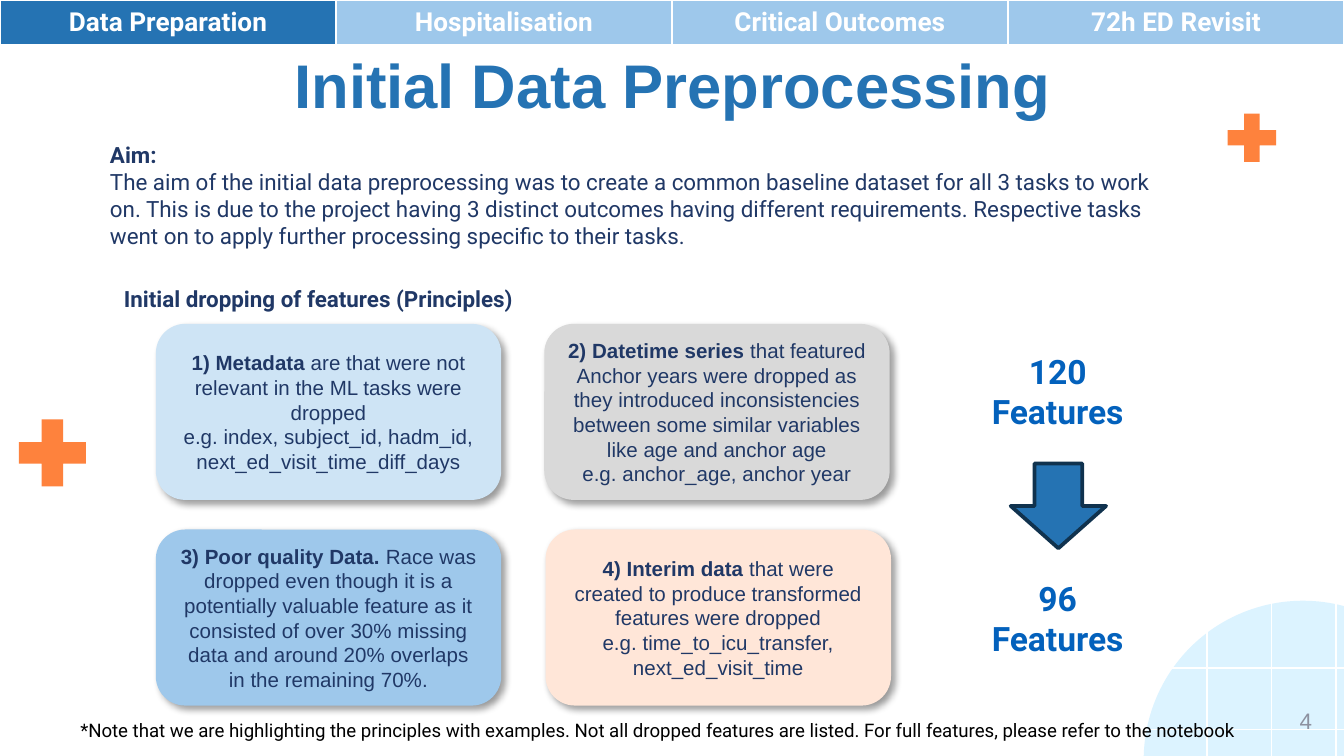
from dataclasses import dataclass
from typing import Any

from lxml import etree
from pptx import Presentation
from pptx.dml.color import RGBColor
from pptx.enum.shapes import MSO_CONNECTOR, MSO_SHAPE
from pptx.enum.text import MSO_ANCHOR, PP_ALIGN
from pptx.oxml import parse_xml
from pptx.oxml.ns import nsdecls, qn
from pptx.util import Pt

PX = 4572
TOP, MIDDLE = MSO_ANCHOR.TOP, MSO_ANCHOR.MIDDLE
LEFT, CENTER, RIGHT = PP_ALIGN.LEFT, PP_ALIGN.CENTER, PP_ALIGN.RIGHT
ELLIPSE, PLUS = MSO_SHAPE.OVAL, MSO_SHAPE.MATH_PLUS
CARD, DOWN_ARROW = MSO_SHAPE.ROUNDED_RECTANGLE, MSO_SHAPE.DOWN_ARROW
STRAIGHT = MSO_CONNECTOR.STRAIGHT

BLUE, LIGHT_BLUE, NAVY, WHITE = "2573B3", "9EC8EB", "203866", "FFFFFF"
ORANGE, PALE_BLUE, COUNT_BLUE = "FE823D", "DCF3FF", "0361BC"

TABS = ["Data Preparation", "Hospitalisation", "Critical Outcomes", "72h ED Revisit"]
AIM = [
    [("Aim:", True)],
    [("The aim of the initial data preprocessing was to create a common baseline dataset "
      "for all 3 tasks to work on. This is due to the project having 3 distinct outcomes "
      "having different requirements. Respective tasks went on to apply further processing "
      "specific to their tasks.", False)],
]
PRINCIPLES = [
    (232, 482, "CEE4F5", [
        [("1) Metadata", True),
         (" are that were not relevant in the ML tasks were dropped", False)],
        [("e.g. index, subject_id, hadm_id, next_ed_visit_time_diff_days", False)]]),
    (810, 482, "D9D9D9", [
        [("2) Datetime series ", True),
         ("that featured Anchor years were dropped as they introduced inconsistencies "
          "between some similar variables like age and anchor age", False)],
        [("e.g. anchor_age, anchor year", False)]]),
    (232, 788, LIGHT_BLUE, [
        [("3) Poor quality Data. ", True),
         ("Race was dropped even though it is a potentially valuable feature as it consisted "
          "of over 30% missing data and around 20% overlaps in the remaining 70%.", False)]]),
    (812, 788, "FFE6D8", [
        [("4) Interim data", True),
         (" that were created to produce transformed features were dropped", False)],
        [("e.g. time_to_icu_transfer, next_ed_visit_time", False)]]),
]
NOTE = ("*Note that we are highlighting the principles with examples. Not all dropped "
        "features are listed. For full features, please refer to the notebook")


def px(*lengths):
    """Turn whole px lengths into EMU."""
    return [length * PX for length in lengths]


def color(value):
    """Turn a hex string into a colour."""
    return RGBColor.from_string(value)


@dataclass
class Painter:
    """Hold the style and the current slide."""

    slide: Any
    heading_font: str = "Roboto"
    body_font: str = "Arial"

    def style(self, span, size, ink, bold, font):
        """Format one run."""
        span.font.size, span.font.bold, span.font.name = Pt(size), bold, font
        span.font.color.rgb = color(ink)

    def fill_text(self, frame, paragraphs, size, ink, font, align=CENTER):
        """Fill a text frame with paragraphs of (text, bold) spans."""
        frame.word_wrap = True
        for index, spans in enumerate(paragraphs):
            para = frame.paragraphs[0] if index == 0 else frame.add_paragraph()
            para.alignment = align
            for text, bold in spans:
                span = para.add_run()
                span.text = text
                self.style(span, size, ink, bold, font)

    def title(self, text, at):
        """Place and format the title placeholder."""
        box = self.slide.shapes.title
        box.left, box.top, box.width, box.height = px(*at)
        frame = box.text_frame
        frame.text = text
        frame.vertical_anchor = TOP
        frame.margin_top, frame.margin_bottom = px(32, 20)
        frame.paragraphs[0].alignment = CENTER
        self.style(frame.paragraphs[0].runs[0], 33, BLUE, True, self.body_font)

    def text(self, at, paragraphs, size, ink, font=None, align=CENTER, anchor=TOP, inset=10):
        """Add a text box."""
        frame = self.slide.shapes.add_textbox(*px(*at)).text_frame
        frame.vertical_anchor = anchor
        frame.margin_top, frame.margin_bottom = px(inset, inset)
        self.fill_text(frame, paragraphs, size, ink, font or self.heading_font, align)

    def shape(self, kind, at, fill, outline=None):
        """Add a flat preset shape."""
        shape = self.slide.shapes.add_shape(kind, *px(*at))
        shape.shadow.inherit = False
        shape.fill.solid()
        shape.fill.fore_color.rgb = color(fill)
        if outline:
            shape.line.color.rgb = color(outline)
            shape.line.width = Pt(2)
        else:
            shape.line.fill.background()
        return shape

    def card(self, at, fill, paragraphs):
        """Add a rounded card with a soft shadow and centred text."""
        card = self.shape(CARD, at, fill)
        card._element.spPr.find(qn("a:effectLst")).append(parse_xml(
            f'<a:outerShdw {nsdecls("a")} blurRad="{Pt(4)}" dist="{Pt(3)}" dir="2700000" '
            'algn="bl" rotWithShape="0"><a:srgbClr val="000000"><a:alpha val="40000"/>'
            '</a:srgbClr></a:outerShdw>'))
        card.text_frame.vertical_anchor = MIDDLE
        self.fill_text(card.text_frame, paragraphs, 11, NAVY, self.body_font)

    def line(self, start, end):
        """Add a thin white line."""
        line = self.slide.shapes.add_connector(STRAIGHT, *px(*start, *end))
        line.line.color.rgb = color(WHITE)
        line.line.width = Pt(0.75)
        etree.SubElement(line._element.spPr, qn("a:effectLst"))

    def tabs(self, labels, at):
        """Add the navigation table with its first tab active."""
        table = self.slide.shapes.add_table(1, len(labels), *px(*at)).table
        for index, label in enumerate(labels):
            cell = table.cell(0, index)
            properties = cell._tc.get_or_add_tcPr()
            for side in ("lnL", "lnR", "lnT", "lnB"):
                properties.append(parse_xml(
                    f'<a:{side} {nsdecls("a")} w="{Pt(1)}"><a:solidFill>'
                    f'<a:srgbClr val="{WHITE}"/></a:solidFill></a:{side}>'))
            cell.fill.solid()
            cell.fill.fore_color.rgb = color(LIGHT_BLUE if index else BLUE)
            self.fill_text(cell.text_frame, [[(label, True)]], 14, WHITE, self.heading_font)


def main():
    """Build the deck and save it."""
    deck = Presentation()
    deck.slide_width, deck.slide_height = px(2000, 1125)
    page = Painter(deck.slides.add_slide(deck.slide_layouts[5]))

    page.shape(ELLIPSE, (1702, 894, 474, 474), PALE_BLUE)
    for x in range(1796, 1989, 96):
        page.line((x, 894), (x, 1368))
    for y in (994, 1086):
        page.line((1704, y), (2176, y))
    page.text((1522, 1042, 450, 60), [[("4", False)]], 12, "8D91A0",
              page.body_font, RIGHT, MIDDLE)

    page.title("Initial Data Preprocessing", (158, 38, 1686, 126))
    for at in ((10, 606, 136, 136), (1814, 156, 98, 98)):
        page.shape(PLUS, at, ORANGE)
    page.tabs(TABS, (0, 0, 2000, 66))

    page.text((144, 190, 1592, 218), AIM, 12, NAVY, align=LEFT, inset=20)
    page.text((98, 404, 752, 76), [[("Initial dropping of features (Principles)", True)]],
              12, NAVY, inset=20)
    for left, top, fill, paragraphs in PRINCIPLES:
        page.card((left, top, 514, 262), fill, paragraphs)
    page.text((28, 1060, 1900, 56), [[(NOTE, False)]], 10, "000000")

    for top, label in ((512, "120 Features"), (850, "96 Features")):
        page.text((1438, top, 272, 142), [[(label, True)]], 18, COUNT_BLUE)
    page.shape(DOWN_ARROW, (1504, 690, 142, 126), BLUE, "10324E")

    deck.save("out.pptx")


if __name__ == "__main__":
    main()
